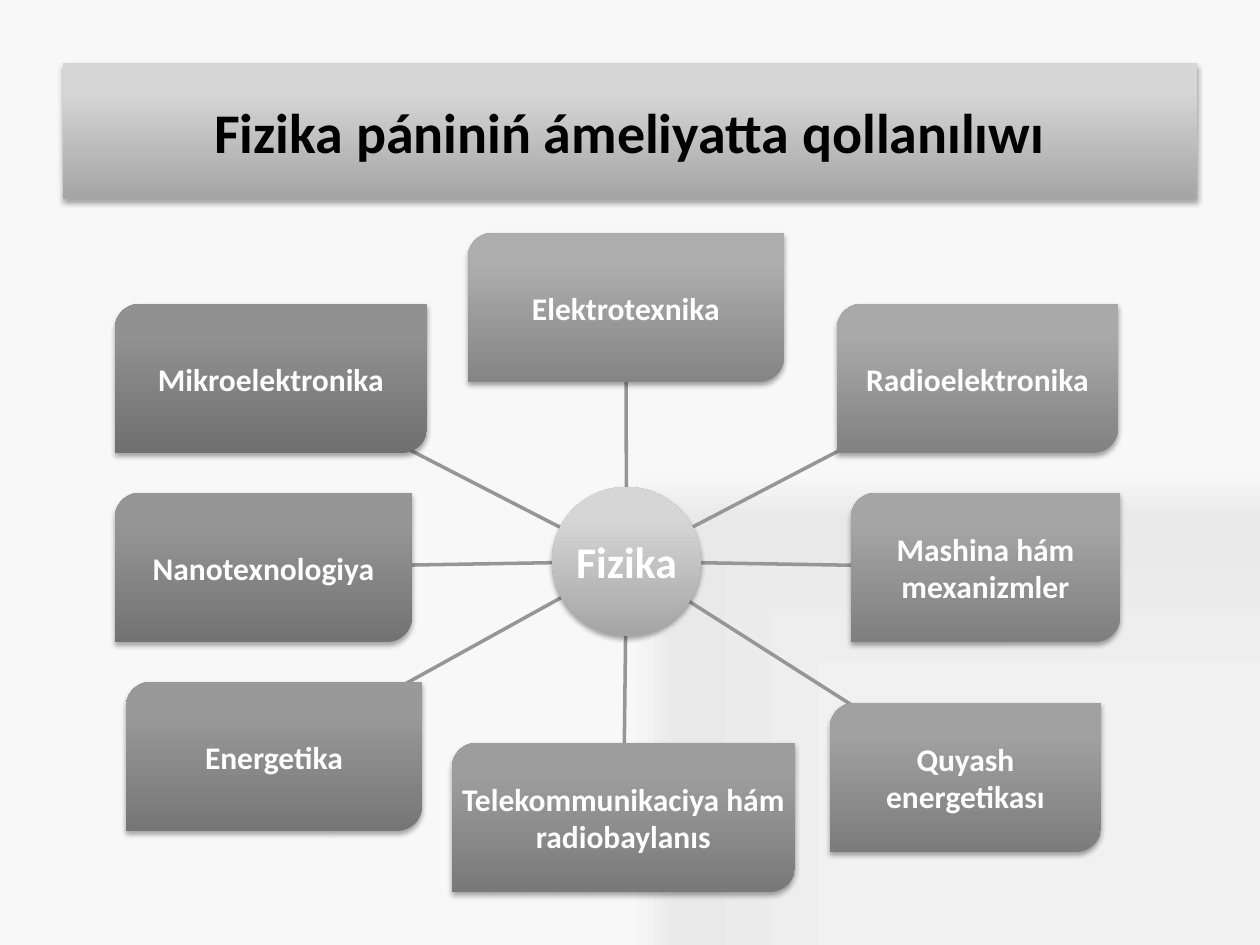
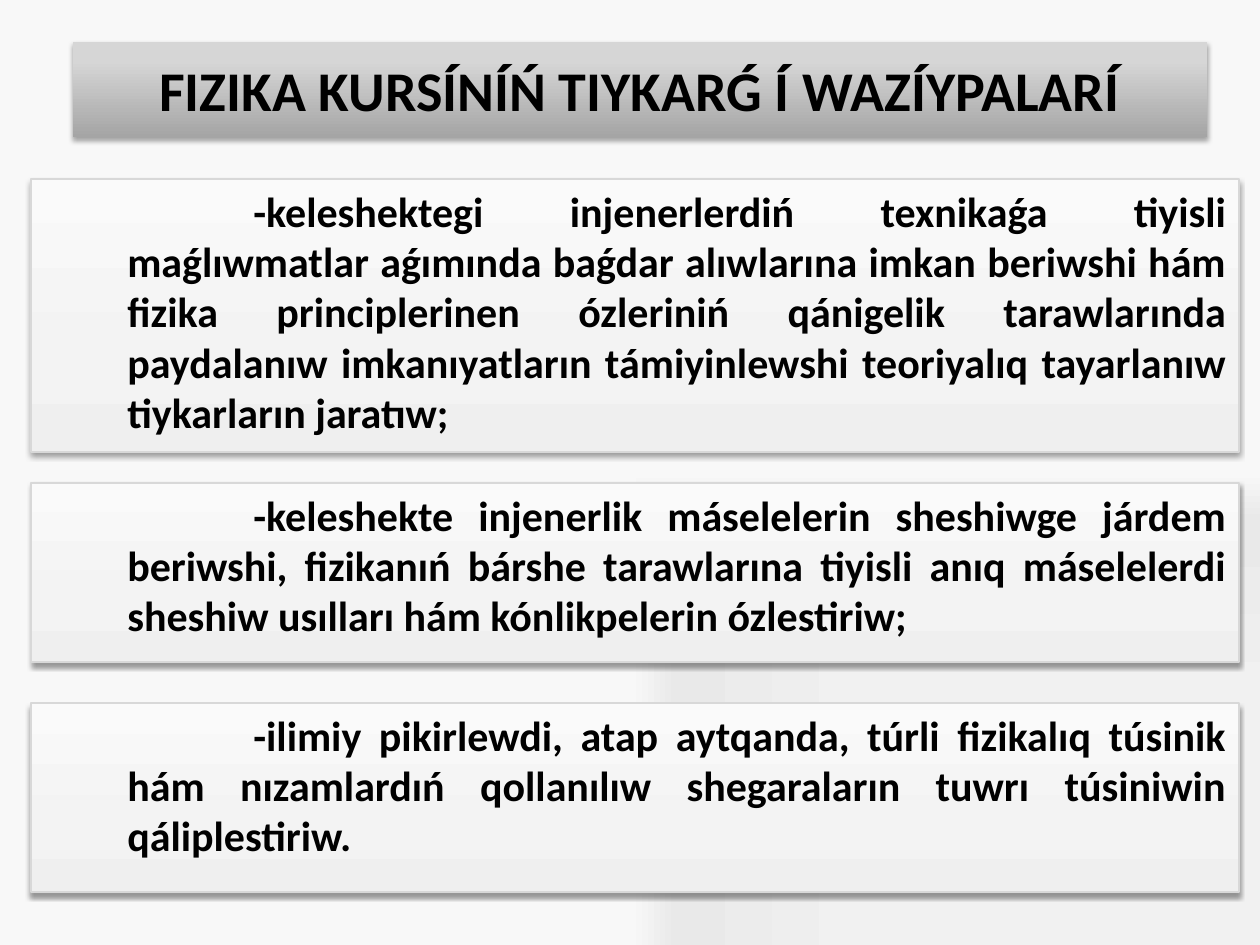
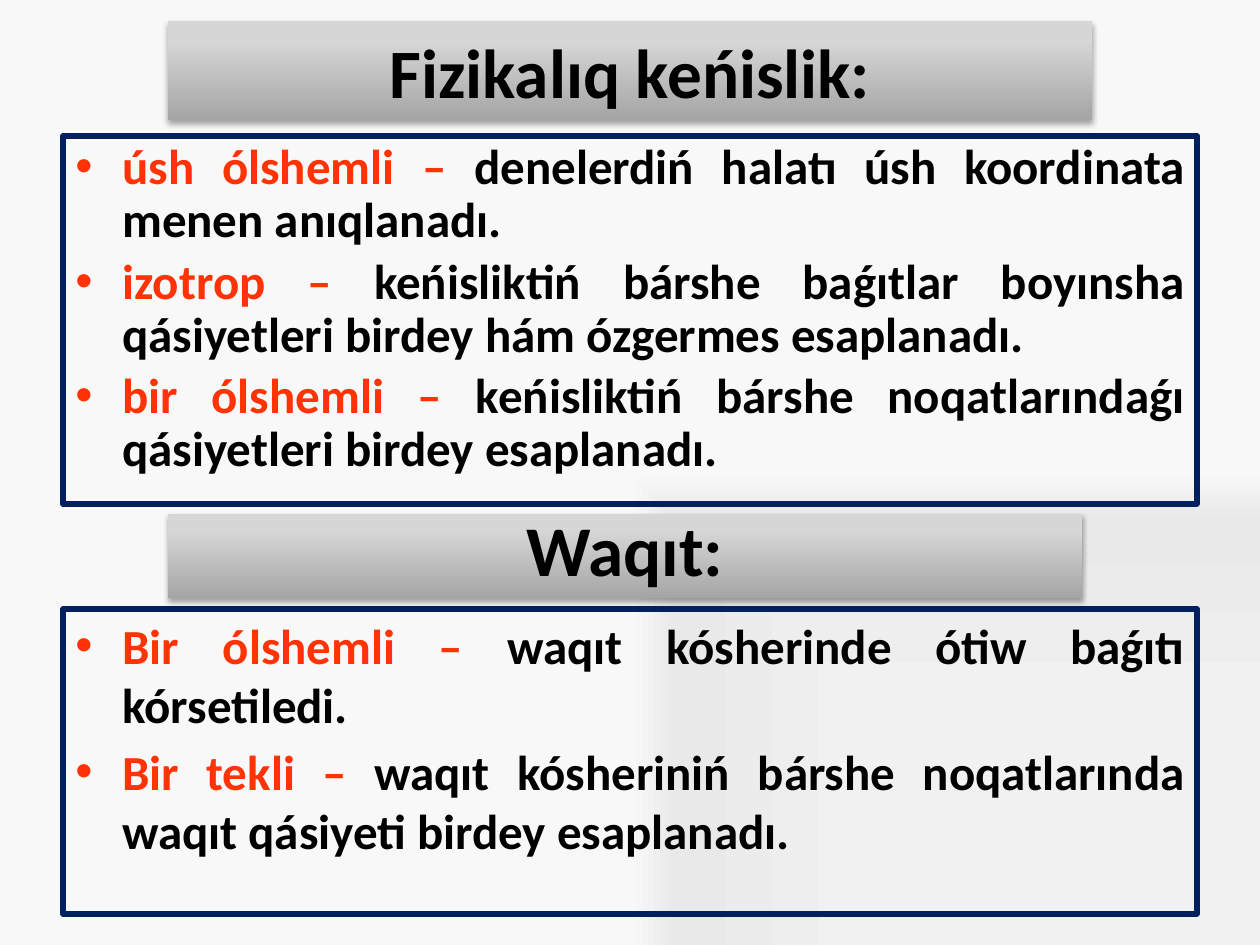
"""Build three physics course slides: uses of physics, course aims, space and time."""
from math import hypot

from lxml.etree import SubElement
from pptx import Presentation
from pptx.dml.color import RGBColor
from pptx.enum.shapes import MSO_CONNECTOR, MSO_SHAPE
from pptx.enum.text import MSO_ANCHOR, PP_ALIGN
from pptx.oxml.ns import qn
from pptx.util import Pt

SCALE = 914400 / 126
FONT = "Calibri"
COLOURS = {"text": "000000", "light": "FFFFFF", "term": "FF3305", "frame": "002060",
           "spoke": "969696", "panel_line": "D8D8D8"}
BACKGROUND = [(50, "F1F1F1"), (90, "E9E9E9"), (100, "F8F8F8")]
BAND = [(0, "A5A5A5"), (80, "D6D6D6"), (100, "D7D7D7")]
PANEL = [(0, "EFEFEF"), (35, "F3F3F3"), (100, "FAFAFA")]

USES_TITLE = ("Fizika pániniń ámeliyatta qollanılıwı", (63, 63, 1134, 136), 32)
HUB = ("Fizika", (552, 487, 149, 149))
FIELD_HEIGHT = 149
FIELDS = [
    ("Elektrotexnika", 468, 233, 316),
    ("Radioelektronika", 837, 304, 281),
    ("Mashina hám mexanizmler", 851, 493, 269),
    ("Quyash energetikası", 830, 703, 271),
    ("Telekommunikaciya hám radiobaylanıs", 452, 743, 343),
    ("Energetika", 126, 682, 296),
    ("Nanotexnologiya", 115, 493, 297),
    ("Mikroelektronika", 115, 304, 312),
]

AIMS_TITLE = ("FIZIKA KURSÍNÍŃ TIYKARǴ Í WAZÍYPALARÍ", (73, 42, 1134, 95), 32)
AIMS = [
    ("-keleshektegi injenerlerdiń texnikaǵa tiyisli maǵlıwmatlar aǵımında baǵdar "
     "alıwlarına imkan beriwshi hám fizika principlerinen ózleriniń qánigelik "
     "tarawlarında paydalanıw imkanıyatların támiyinlewshi teoriyalıq tayarlanıw "
     "tiykarların jaratıw;", 179, 273),
    ("-keleshekte injenerlik máselelerin sheshiwge járdem beriwshi, fizikanıń bárshe "
     "tarawlarına tiyisli anıq máselelerdi sheshiw usılları hám kónlikpelerin "
     "ózlestiriw;", 483, 179),
    ("-ilimiy pikirlewdi, atap aytqanda, túrli fizikalıq túsinik hám nızamlardıń "
     "qollanılıw shegaraların tuwrı túsiniwin qáliplestiriw.", 703, 189),
]

TOPICS = [
    {"title": ("Fizikalıq keńislik:", (168, 21, 924, 99), 39.6),
     "place": (63, 136, 1134, 368), "spacing": 0.9, "title_spacing": 1.0,
     "items": [
         ("úsh ólshemli – ", "denelerdiń halatı úsh koordinata menen anıqlanadı."),
         ("izotrop – ", "keńisliktiń bárshe baǵıtlar boyınsha qásiyetleri birdey "
                        "hám ózgermes esaplanadı."),
         ("bir ólshemli – ", "keńisliktiń bárshe noqatlarındaǵı qásiyetleri birdey "
                             "esaplanadı."),
     ]},
    {"title": ("Waqıt:", (168, 514, 914, 84), 40.7),
     "place": (63, 609, 1134, 305), "spacing": 1.0, "title_spacing": 0.8,
     "items": [
         ("Bir ólshemli – ", "waqıt kósherinde ótiw baǵıtı kórsetiledi."),
         ("Bir tekli – ", "waqıt kósheriniń bárshe noqatlarında waqıt qásiyeti "
                          "birdey esaplanadı."),
     ]},
]


def px(length):
    return round(length * SCALE)


def colour(name):
    return RGBColor.from_string(COLOURS[name])


def set_gradient(parent, stops, centred=False):
    """Replace the empty fill of a properties element with a gradient."""
    empty = parent.find(qn("a:noFill"))
    gradient = parent.makeelement(qn("a:gradFill"), {"rotWithShape": "1"})
    stop_list = SubElement(gradient, qn("a:gsLst"))
    for position, value in stops:
        stop = SubElement(stop_list, qn("a:gs"), pos=str(position * 1000))
        SubElement(stop, qn("a:srgbClr"), val=value)
    if centred:
        path = SubElement(gradient, qn("a:path"), {"path": "rect"})
        SubElement(path, qn("a:fillToRect"), l="100000", t="100000")
    else:
        SubElement(gradient, qn("a:lin"), ang="16200000", scaled="0")
    parent.replace(empty, gradient)


def add_shadow(shape, alpha):
    effects = shape.element.spPr.find(qn("a:effectLst"))
    shadow = SubElement(effects, qn("a:outerShdw"), blurRad=str(Pt(3.1)),
                        dist=str(Pt(1.8)), dir="5400000", rotWithShape="0")
    black = SubElement(shadow, qn("a:srgbClr"), val="000000")
    SubElement(black, qn("a:alpha"), val=str(alpha * 1000))


def add_block(page, place, kind=MSO_SHAPE.RECTANGLE, stops=None, line=None, width=1,
              alpha=35, anchor=MSO_ANCHOR.MIDDLE, inset=None):
    box = page.shapes.add_shape(kind, *map(px, place))
    box.shadow.inherit = False
    box.fill.background()
    if stops:
        set_gradient(box.element.spPr, stops)
        add_shadow(box, alpha)
    if line:
        box.line.color.rgb = colour(line)
        box.line.width = Pt(width)
    else:
        box.line.fill.background()
    frame = box.text_frame
    frame.word_wrap = True
    frame.vertical_anchor = anchor
    if inset is not None:
        for side in ("left", "top", "right", "bottom"):
            setattr(frame, f"margin_{side}", px(inset))
    return box


def write(para, spans, size, align=PP_ALIGN.CENTER, **formats):
    for name, value in {"alignment": align, **formats}.items():
        setattr(para, name, value)
    for text, tint in spans:
        span = para.add_run()
        span.text = text
        values = {"name": FONT, "size": Pt(size), "bold": True}
        for name, value in values.items():
            setattr(span.font, name, value)
        span.font.color.rgb = colour(tint)


def set_indent(para, left, first, bullet=None):
    properties = para._p.get_or_add_pPr()
    properties.set("marL", str(px(left)))
    properties.set("indent", str(px(first)))
    if bullet:
        SubElement(properties, qn("a:buFont"), typeface="Arial")
        SubElement(properties, qn("a:buChar"), char=bullet)


def add_title(page, title, spacing=1.0):
    text, place, size = title
    box = add_block(page, place, stops=BAND)
    write(box.text_frame.paragraphs[0], [(text, "text")], size, line_spacing=spacing)


def add_spoke(page, hub, field):
    """Draw a line from the hub rim towards the field, ending just under its edge."""
    hub_x, hub_y = hub[0] + hub[2] / 2, hub[1] + hub[3] / 2
    across = field[0] + field[2] / 2 - hub_x
    down = field[1] + field[3] / 2 - hub_y
    overlap = 20
    start = hub[2] / 2 / hypot(across, down)
    end = 1 - min((size / 2 - overlap) / max(abs(reach), 1)
                  for size, reach in ((field[2], across), (field[3], down)))
    points = [px(value) for part in (start, end)
              for value in (hub_x + across * part, hub_y + down * part)]
    spoke = page.shapes.add_connector(MSO_CONNECTOR.STRAIGHT, *points)
    spoke.line.color.rgb = colour("spoke")
    spoke.line.width = Pt(2)
    SubElement(spoke.element.spPr, qn("a:effectLst"))


def field_stops(index):
    dark = 133 - 3 * index
    light = round(dark * 1.297)
    return [(position, f"{tone:02X}" * 3)
            for position, tone in ((0, dark), (80, light), (100, light + 1))]


def build_uses(page):
    add_title(page, USES_TITLE)
    name, hub = HUB
    places = [(left, top, width, FIELD_HEIGHT) for _, left, top, width in FIELDS]
    for place in places:
        add_spoke(page, hub, place)
    circle = add_block(page, hub, MSO_SHAPE.OVAL, BAND, inset=2)
    write(circle.text_frame.paragraphs[0], [(name, "light")], 25)
    for index, (field, place) in enumerate(zip(FIELDS, places)):
        box = add_block(page, place, MSO_SHAPE.ROUND_2_DIAG_RECTANGLE,
                        field_stops(index), inset=1)
        write(box.text_frame.paragraphs[0], [(field[0], "light")], 18)


def build_aims(page):
    add_title(page, AIMS_TITLE)
    for text, top, height in AIMS:
        box = add_block(page, (31, top, 1208, height), stops=PANEL, line="panel_line",
                        width=0.75, alpha=38, anchor=MSO_ANCHOR.TOP)
        para = box.text_frame.paragraphs[0]
        set_indent(para, 84, 126)
        write(para, [(text, "text")], 24, PP_ALIGN.JUSTIFY)


def build_topics(page):
    for topic in TOPICS:
        add_title(page, topic["title"], topic["title_spacing"])
        box = add_block(page, topic["place"], line="frame", width=3,
                        anchor=MSO_ANCHOR.TOP)
        frame = box.text_frame
        for index, (term, meaning) in enumerate(topic["items"]):
            para = frame.add_paragraph() if index else frame.paragraphs[0]
            set_indent(para, 47, -47, "•")
            write(para, [(term, "term"), (meaning, "text")], 28, PP_ALIGN.JUSTIFY,
                  line_spacing=topic["spacing"], space_before=Pt(5) if index else None)


def main():
    deck = Presentation()
    deck.slide_width, deck.slide_height = px(1260), px(945)
    master = deck.slide_master
    master.background.fill.background()
    set_gradient(master.element.find(".//" + qn("p:bgPr")), BACKGROUND, centred=True)
    for build in (build_uses, build_aims, build_topics):
        build(deck.slides.add_slide(deck.slide_layouts[6]))
    deck.save("out.pptx")


if __name__ == "__main__":
    main()
